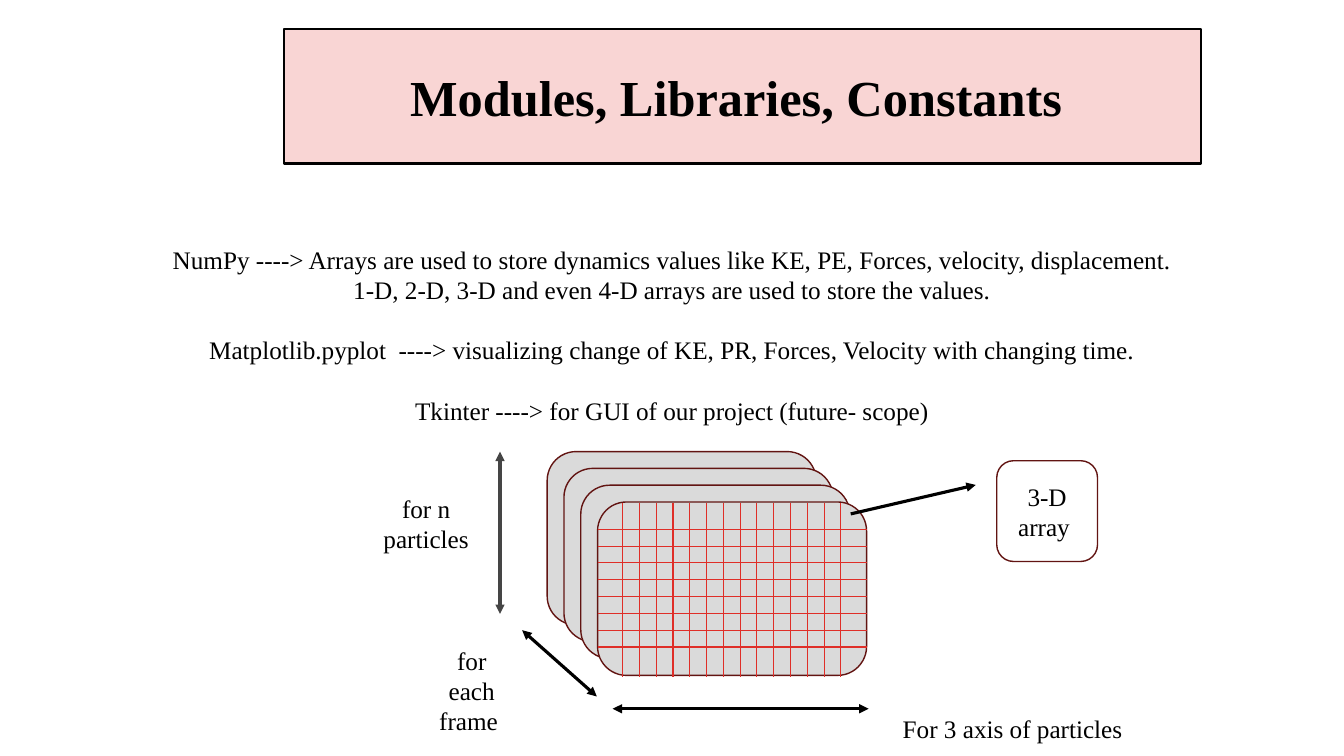
import pptx
import pptx.dml.color
import pptx.enum.shapes
import pptx.enum.text
import pptx.oxml
import pptx.oxml.ns
import pptx.util

Cm, Pt = pptx.util.Cm, pptx.util.Pt
RGB = pptx.dml.color.RGBColor
SHAPE = pptx.enum.shapes.MSO_SHAPE
ALIGN = pptx.enum.text.PP_ALIGN
ANCHOR = pptx.enum.text.MSO_ANCHOR

BLACK = RGB(0x00, 0x00, 0x00)
WHITE = RGB(0xFF, 0xFF, 0xFF)
PINK = RGB(0xF9, 0xD5, 0xD4)
GREY = RGB(0xDA, 0xDA, 0xDA)
DARK_GREY = RGB(0x45, 0x45, 0x45)
MAROON = RGB(0x62, 0x14, 0x12)
RED = RGB(0xDF, 0x2E, 0x28)

BODY = {"name": "Times New Roman", "size": Pt(18), "bold": False}
TITLE = {"name": "Times New Roman", "size": Pt(36), "bold": True}
STEP = 2.54 / 6  # spacing of sheets and grid lines, cm

LIBRARIES = [
    ("NumPy ----> Arrays are used to store dynamics values like KE, PE, "
     "Forces, velocity, displacement.", 0),
    ("1-D, 2-D, 3-D and even 4-D arrays are used to store the values.", 0),
    ("Matplotlib.pyplot  ----> visualizing change of KE, PR, Forces, "
     "Velocity with changing time.", 21.6),
    ("Tkinter ----> for GUI of our project (future- scope)", 21.6),
]


def set_format(obj, values):
    for name, value in values.items():
        setattr(obj, name, value)


def write(p, text, font, align=ALIGN.CENTER):
    p.alignment = align
    r = p.add_run()
    r.text = text
    set_format(r.font, font)
    r.font.color.rgb = BLACK


def paint(sp, fill, line, width):
    if fill is None:
        sp.fill.background()
    else:
        sp.fill.solid()
        sp.fill.fore_color.rgb = fill
    sp.line.color.rgb = line
    sp.line.width = Pt(width)


def add_round(s, box, fill, line, text=None):
    sp = s.shapes.add_shape(SHAPE.ROUNDED_RECTANGLE, *map(Cm, box))
    sp.shadow.inherit = False
    paint(sp, fill, line, 1)
    if text:
        tf = sp.text_frame
        set_format(tf, {"word_wrap": True, "vertical_anchor": ANCHOR.MIDDLE})
        write(tf.paragraphs[0], text, BODY)


def add_line(s, x1, y1, x2, y2, color, width, ends=()):
    c = s.shapes.add_connector(pptx.enum.shapes.MSO_CONNECTOR.STRAIGHT,
                               Cm(x1), Cm(y1), Cm(x2), Cm(y2))
    c.line.color.rgb = color
    c.line.width = Pt(width)
    ln = c.line._get_or_add_ln()
    for end in ends:
        ln.append(pptx.oxml.parse_xml(
            f'<a:{end} {pptx.oxml.ns.nsdecls("a")} type="triangle"/>'))
    ln.addnext(pptx.oxml.parse_xml(
        f'<a:effectLst {pptx.oxml.ns.nsdecls("a")}/>'))


def add_title(s, x, y, w, h):
    sp = s.shapes.title
    set_format(sp, {"left": Cm(x), "top": Cm(y), "width": Cm(w), "height": Cm(h)})
    # Rounded outline for the placeholder
    sp._element.spPr.append(pptx.oxml.parse_xml(
        f'<a:prstGeom {pptx.oxml.ns.nsdecls("a")} prst="roundRect"><a:avLst/></a:prstGeom>'))
    paint(sp, PINK, BLACK, 1.5)
    tf = sp.text_frame
    set_format(tf, {"auto_size": pptx.enum.text.MSO_AUTO_SIZE.NONE,
                    "word_wrap": True, "vertical_anchor": ANCHOR.MIDDLE})
    write(tf.paragraphs[0], "Modules, Libraries, Constants ", TITLE)


def add_libraries(s, x, y, w, h):
    tf = s.shapes.add_textbox(Cm(x), Cm(y), Cm(w), Cm(h)).text_frame
    tf.word_wrap = True
    for i, (text, gap) in enumerate(LIBRARIES):
        p = tf.add_paragraph() if i else tf.paragraphs[0]
        p.space_before = Pt(gap)
        write(p, text, BODY)


def add_array(s, x, y, w, h):
    """Stack of four sheets; x, y is the corner of the rearmost one."""
    for i in range(4):
        add_round(s, (x + i * STEP, y + i * STEP, w, h), GREY, MAROON)
    # Grid on the front sheet
    fx, fy = x + 3 * STEP, y + 3 * STEP
    for i in range(8):
        row = fy + 0.69 + i * STEP
        add_line(s, fx, row, fx + w, row, RED, 0.75)
    for i in range(14):
        col = fx + 0.63 + i * STEP
        add_line(s, col, fy + 0.03, col, fy + h + 0.03, RED, 0.75)


def add_labels(s, x, y):
    """Arrows and captions around the stack whose corner is x, y."""
    both = ("headEnd", "tailEnd")
    # Array name
    add_line(s, x + 7.65, y + 1.57, x + 10.8, y + 0.84, BLACK, 2.25, ("tailEnd",))
    add_round(s, (x + 11.33, y + 0.23, 2.54, 2.54), None, MAROON, "3-D array ")
    # Frames
    add_line(s, x - 0.63, y + 4.5, x + 1.25, y + 6.17, BLACK, 2.25, both)
    add_round(s, (x - 3.17, y + 4.75, 2.54, 2.54), WHITE, WHITE, "for each frame ")
    # Particles
    add_line(s, x - 1.19, y, x - 1.19, y + 4.09, DARK_GREY, 2.25, both)
    add_round(s, (x - 4.47, y + 1.09, 2.84, 1.45), WHITE, WHITE, "for n particles")
    # Axes
    add_line(s, x + 1.65, y + 6.48, x + 8.1, y + 6.48, BLACK, 2.25, both)
    tf = s.shapes.add_textbox(Cm(x + 8.71), Cm(y + 6.48), Cm(6.1), Cm(1.02)).text_frame
    tf.word_wrap = False
    write(tf.paragraphs[0], "For 3 axis of particles", BODY, ALIGN.LEFT)


def main():
    prs = pptx.Presentation()
    set_format(prs, {"slide_width": Cm(33.87), "slide_height": Cm(19.05)})
    s = prs.slides.add_slide(prs.slide_layouts[5])
    s.background.fill.solid()
    s.background.fill.fore_color.rgb = WHITE
    add_title(s, 7.16, 0.74, 23.11, 3.38)
    add_libraries(s, 0, 6.02, 33.87, 4.9)
    add_array(s, 13.79, 11.38, 6.78, 4.37)
    add_labels(s, 13.79, 11.38)
    prs.save("out.pptx")


if __name__ == "__main__":
    main()
